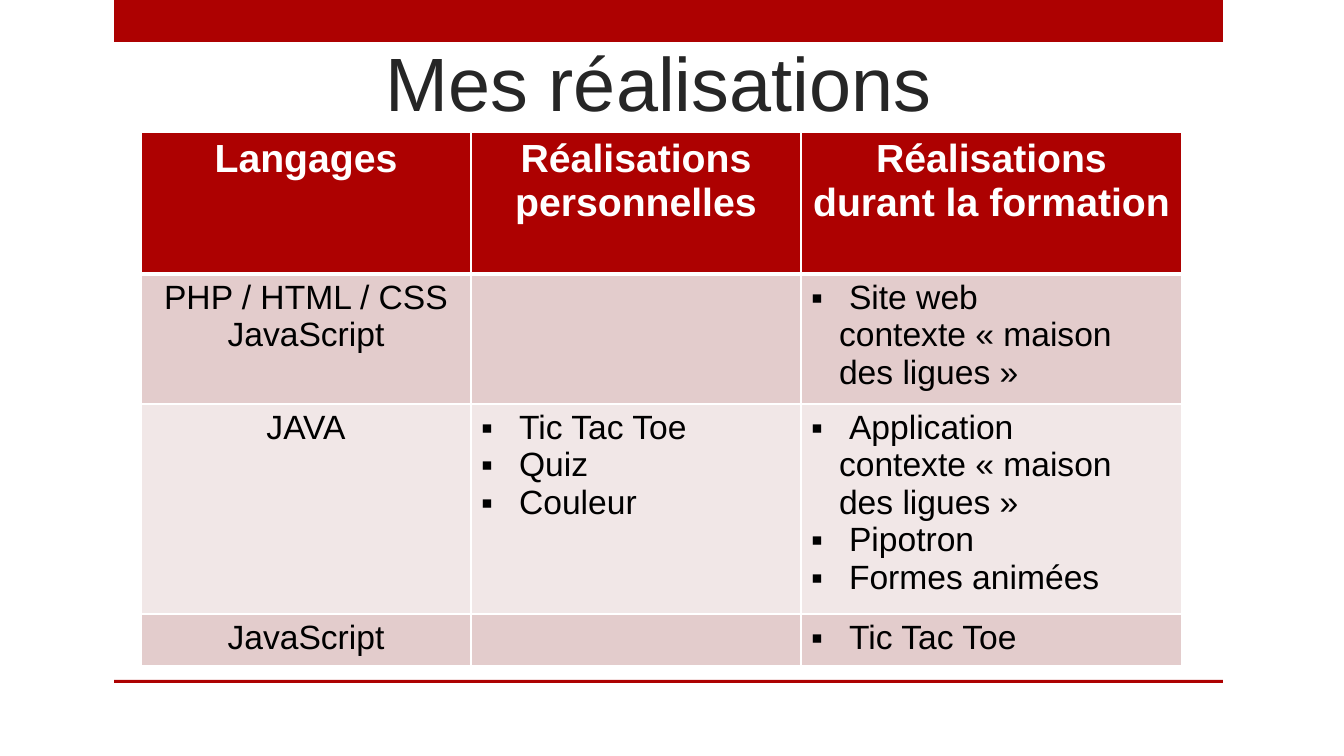
from lxml import etree
from pptx import Presentation
from pptx import util as u
from pptx.dml.color import RGBColor
from pptx.enum import shapes, text
from pptx.oxml.ns import qn


class Theme:
    font = "Arial"
    red = RGBColor.from_string("AD0101")
    white = RGBColor.from_string("FFFFFF")
    black = RGBColor.from_string("000000")
    title_ink = RGBColor.from_string("262626")
    bands = [RGBColor.from_string(code) for code in ("E3CCCC", "F1E7E7")]
    title_size, header_size, body_size = 54, 28, 24
    thin, thick = 1, 3


BULLET = "▪"
BULLET_INDENT = 38
CONTINUATION_INDENT = 28
COLUMNS = [330, 330, 381]
ROWS = [142, 130, 210, 52]
# Each column of a row is a list of lines; a leading ▪ marks a bulleted one.
HEADERS = [["Langages"], ["Réalisations personnelles"], ["Réalisations durant la formation"]]
PROJECTS = [
    [["PHP / HTML / CSS", "JavaScript"], [],
     ["▪Site web", "contexte « maison", "des ligues »"]],
    [["JAVA"], ["▪Tic Tac Toe", "▪Quiz", "▪Couleur"],
     ["▪Application", "contexte « maison", "des ligues »", "▪Pipotron", "▪Formes animées"]],
    [["JavaScript"], [], ["▪Tic Tac Toe"]],
]


def px(length):
    return u.Emu(round(length * 914400 / 100.8))


def style_font(font, size, color, bold=False):
    for name, value in dict(name=Theme.font, size=u.Pt(size), bold=bold).items():
        setattr(font, name, value)
    font.color.rgb = color


def add_bar(page, left, top, width, height):
    bar = page.shapes.add_shape(shapes.MSO_SHAPE.RECTANGLE, *map(px, (left, top, width, height)))
    bar.shadow.inherit = False
    bar.fill.solid()
    bar.fill.fore_color.rgb = Theme.red
    bar.line.fill.background()


def add_title(page, wording, left, top, width, height):
    title = page.shapes.title
    title.left, title.top, title.width, title.height = map(px, (left, top, width, height))
    frame = title.text_frame
    frame.text = wording
    settings = dict(vertical_anchor=text.MSO_ANCHOR.BOTTOM, word_wrap=True,
                    auto_size=text.MSO_AUTO_SIZE.NONE)
    for name, value in settings.items():
        setattr(frame, name, value)
    paragraph = frame.paragraphs[0]
    paragraph.alignment = text.PP_ALIGN.LEFT
    style_font(paragraph.runs[0].font, Theme.title_size, Theme.title_ink)


def set_borders(cell, widths):
    properties = cell._tc.get_or_add_tcPr()
    for side, width in widths.items():
        line = etree.SubElement(properties, qn(f"a:ln{side}"), w=str(u.Pt(width)))
        fill = etree.SubElement(line, qn("a:solidFill"))
        etree.SubElement(fill, qn("a:srgbClr"), val=str(Theme.white))


def indent(paragraph, bulleted):
    properties = paragraph._p.get_or_add_pPr()
    properties.set("marL", str(px(BULLET_INDENT if bulleted else CONTINUATION_INDENT)))
    if bulleted:
        properties.set("indent", str(-px(BULLET_INDENT)))
        etree.SubElement(properties, qn("a:buFont"), typeface=Theme.font)
        etree.SubElement(properties, qn("a:buChar"), char=BULLET)


def fill_cell(cell, lines, centered, size, color, bold):
    frame = cell.text_frame
    for index, line in enumerate(lines):
        para = frame.add_paragraph() if index else frame.paragraphs[0]
        if centered:
            para.alignment = text.PP_ALIGN.CENTER
        else:
            indent(para, line.startswith(BULLET))
        span = para.add_run()
        span.text = line.removeprefix(BULLET)
        style_font(span.font, size, color, bold)


def add_projects_table(page, left, top):
    frame = page.shapes.add_table(len(ROWS), len(COLUMNS),
                                  *map(px, (left, top, sum(COLUMNS), sum(ROWS))))
    table = frame.table
    for column, width in zip(table.columns, COLUMNS):
        column.width = px(width)
    for row, height in zip(table.rows, ROWS):
        row.height = px(height)
    for r, row in enumerate([HEADERS, *PROJECTS]):
        header = r == 0
        size, color = ((Theme.header_size, Theme.white) if header
                       else (Theme.body_size, Theme.black))
        for c, lines in enumerate(row):
            cell = table.cell(r, c)
            set_borders(cell, dict(L=Theme.thin, R=Theme.thin,
                                   T=Theme.thick if r == 1 else Theme.thin,
                                   B=Theme.thick if header else Theme.thin))
            cell.fill.solid()
            cell.fill.fore_color.rgb = Theme.red if header else Theme.bands[(r - 1) % 2]
            fill_cell(cell, lines, header or c == 0, size, color, header)


def build_projects_page(deck):
    page = deck.slides.add_slide(deck.slide_layouts.get_by_name("Title Only"))
    add_bar(page, 114, 0, 1109, 42)
    add_bar(page, 114, 680, 1109, 3)
    add_title(page, "Mes réalisations", 375, 42, 591, 90)
    add_projects_table(page, 141, 132)


def main():
    deck = Presentation()
    deck.slide_width, deck.slide_height = px(1344), px(756)
    build_projects_page(deck)
    deck.save("out.pptx")


if __name__ == "__main__":
    main()
